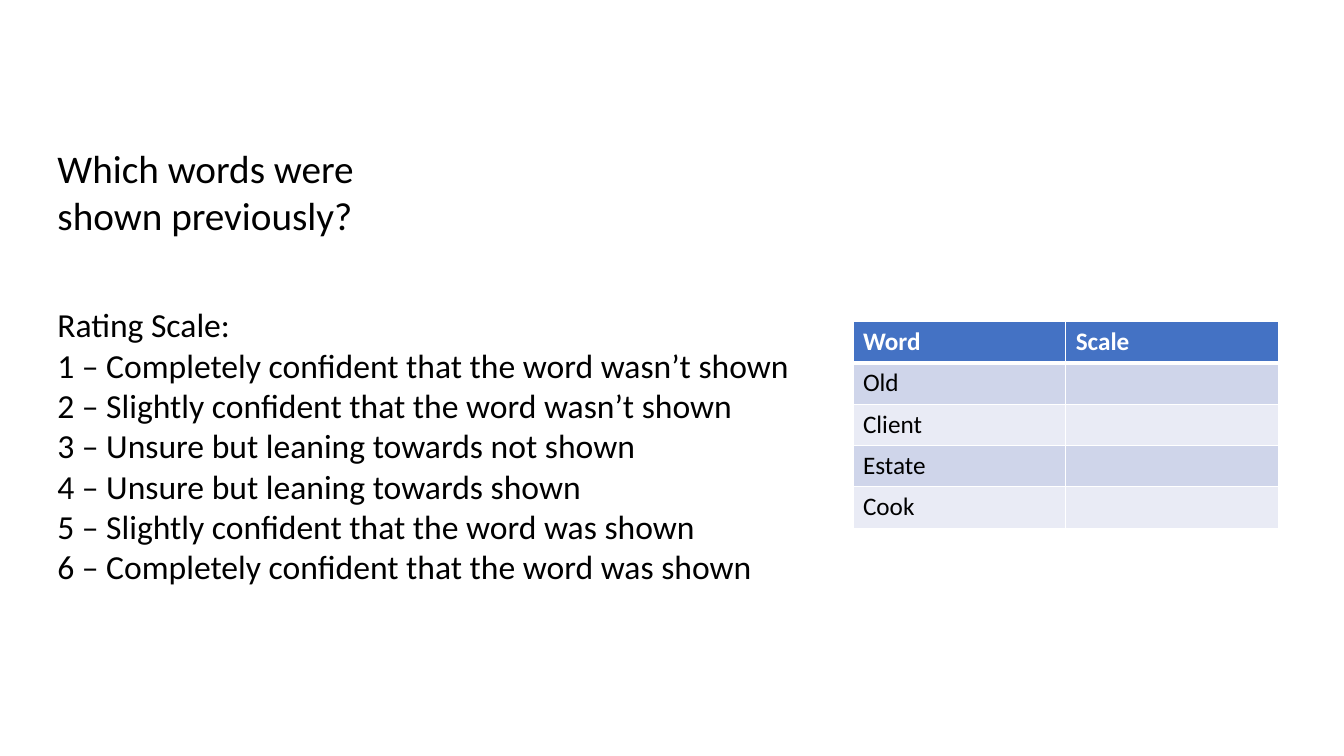
from lxml.etree import SubElement
from pptx import Presentation
from pptx.dml.color import RGBColor
from pptx.enum.text import MSO_ANCHOR, MSO_AUTO_SIZE, PP_ALIGN
from pptx.oxml.ns import qn
from pptx.util import Inches, Pt

TITLE = ["Which words were ", "shown previously?"]
SCALE = [
    "Rating Scale: ",
    "1 – Completely confident that the word wasn’t shown ",
    "2 – Slightly confident that the word wasn’t shown ",
    "3 – Unsure but leaning towards not shown ",
    "4 – Unsure but leaning towards shown ",
    "5 – Slightly confident that the word was shown ",
    "6 – Completely confident that the word was shown ",
]
ROWS = [("Word", "Scale"), ("Old", ""), ("Client", ""), ("Estate", ""), ("Cook", "")]

FONT = "Calibri"
COLORS = {"text": "000000", "white": "FFFFFF", "head": "4472C4",
          "odd": "CFD5EA", "even": "E9EBF5"}
LEFT = 0.47
COL_W, ROW_H = 2.11, 0.41


def rgb(name):
    """Return the named colour."""
    return RGBColor.from_string(COLORS[name])


def add_run(para, text, size, color="text", bold=False):
    """Add one styled run to a paragraph."""
    run = para.add_run()
    run.text = text
    font = run.font
    font.name, font.size, font.bold = FONT, Pt(size), bold
    font.color.rgb = rgb(color)


def fill_text(shape, lines, size, box, wrap):
    """Place a text shape and write one paragraph per line."""
    shape.left, shape.top, shape.width, shape.height = map(Inches, box)
    frame = shape.text_frame
    frame.word_wrap = wrap
    frame.auto_size = MSO_AUTO_SIZE.SHAPE_TO_FIT_TEXT
    frame.vertical_anchor = MSO_ANCHOR.TOP
    for i, line in enumerate(lines):
        para = frame.add_paragraph() if i else frame.paragraphs[0]
        para.alignment = PP_ALIGN.LEFT
        para.space_before = Pt(0)
        add_run(para, line, size)


def add_edges(cell, widths):
    """Draw white cell borders; widths in points by side."""
    props = cell._tc.get_or_add_tcPr()
    for side, width in widths.items():
        line = SubElement(props, qn(f"a:ln{side}"), w=str(Pt(width)))
        fill = SubElement(line, qn("a:solidFill"))
        SubElement(fill, qn("a:srgbClr"), val=COLORS["white"])


def add_words(slide):
    """Add the table of words to be rated."""
    cols = len(ROWS[0])
    table = slide.shapes.add_table(
        len(ROWS), cols, Inches(8.46), Inches(3.19),
        Inches(COL_W * cols), Inches(ROW_H * len(ROWS))).table
    for col in table.columns:
        col.width = Inches(COL_W)
    for r, row in enumerate(ROWS):
        table.rows[r].height = Inches(ROW_H)
        head = r == 0
        shade = "head" if head else "odd" if r % 2 else "even"
        edges = {"L": 1, "R": 1, "T": 3 if r == 1 else 1, "B": 3 if head else 1}
        for c, text in enumerate(row):
            cell = table.cell(r, c)
            add_edges(cell, edges)
            cell.fill.solid()
            cell.fill.fore_color.rgb = rgb(shade)
            if text:
                add_run(cell.text_frame.paragraphs[0], text, 18,
                        "white" if head else "text", head)


deck = Presentation()
deck.slide_width, deck.slide_height = Inches(13.33), Inches(7.5)
slide = deck.slides.add_slide(deck.slide_layouts[5])
fill_text(slide.shapes.title, TITLE, 28, (LEFT, 1.38, 4.32, 1.04), True)
scale = slide.shapes.add_textbox(0, 0, 0, 0)
fill_text(scale, SCALE, 24, (LEFT, 2.97, 7.6, 2.93), False)
add_words(slide)
deck.save("out.pptx")
